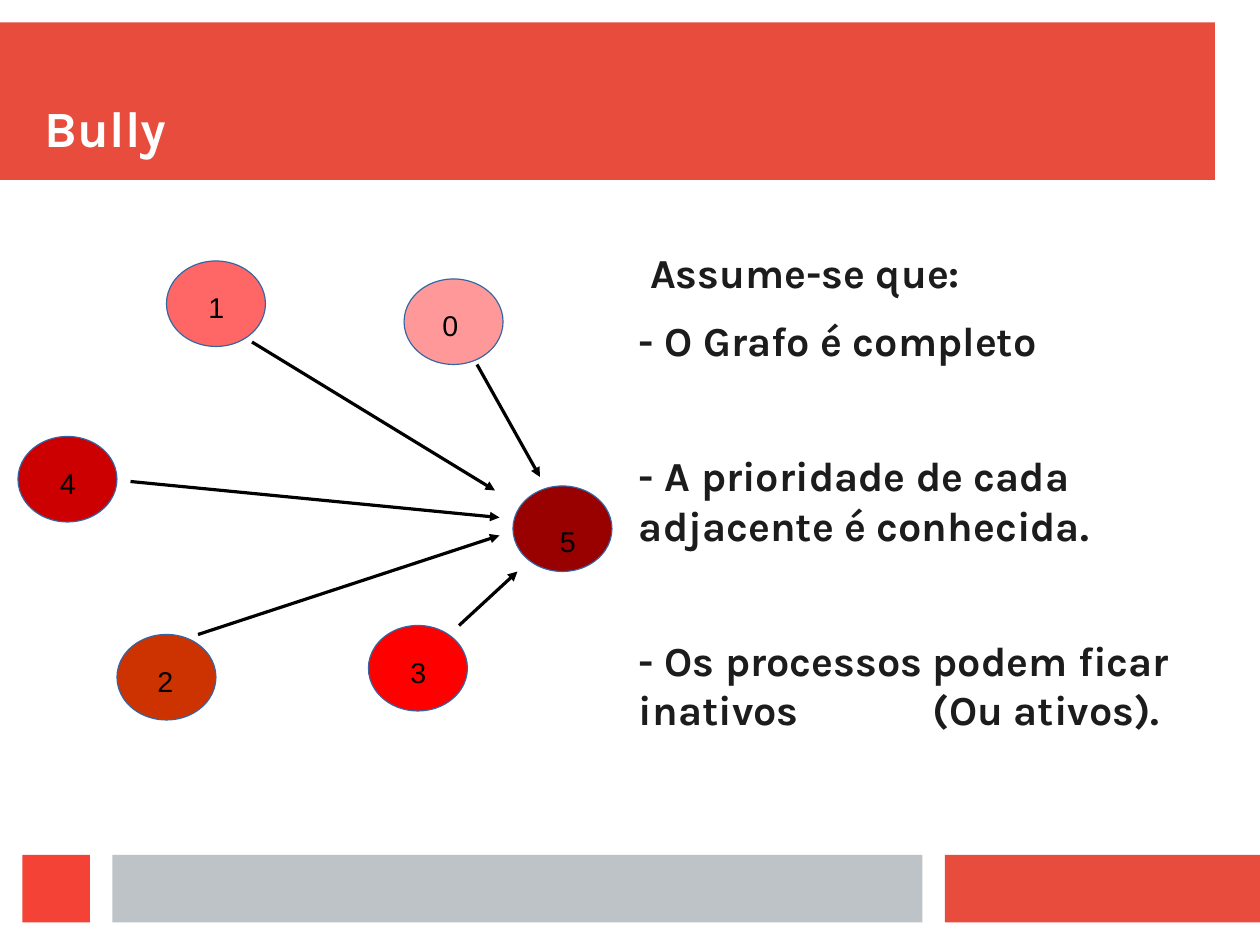
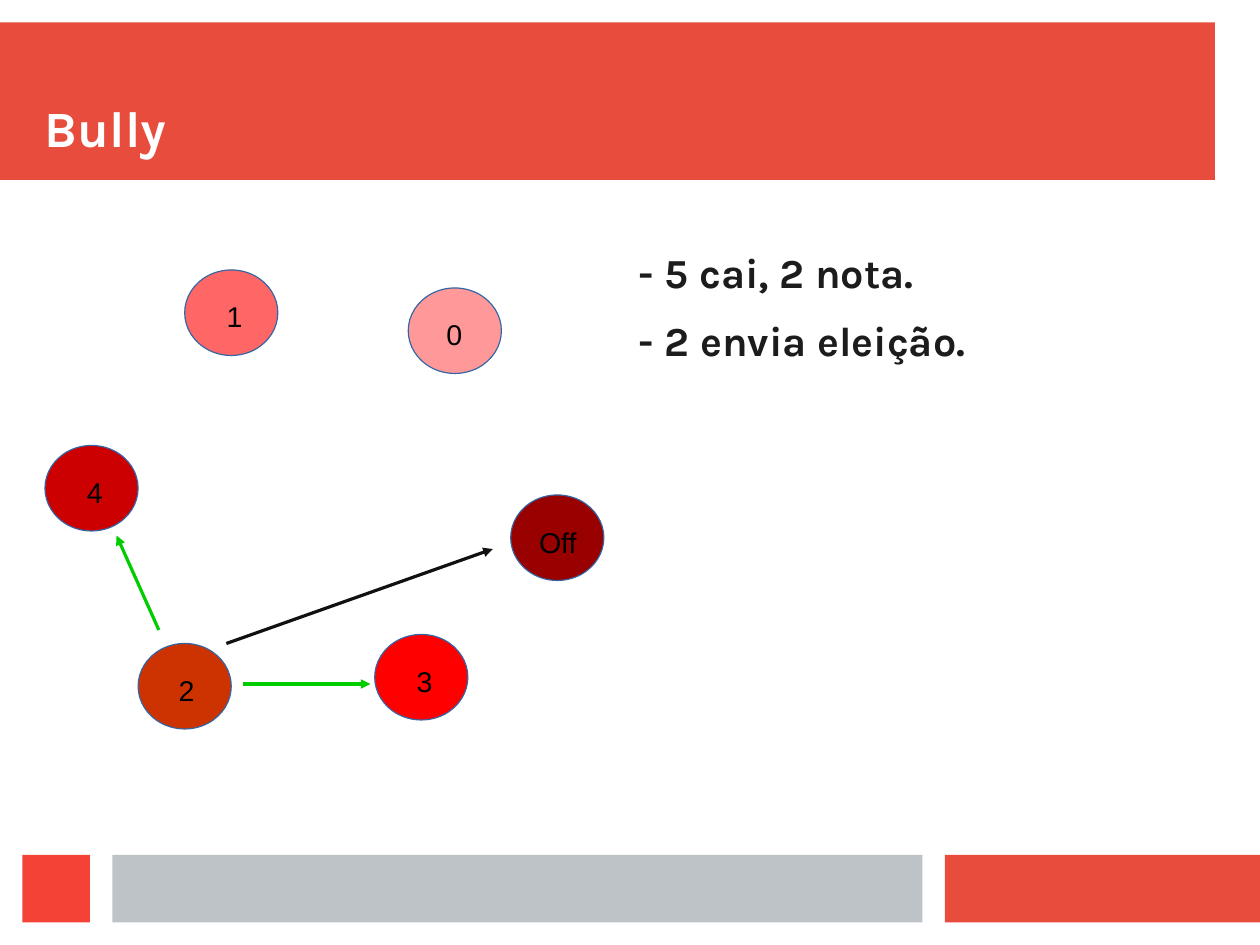
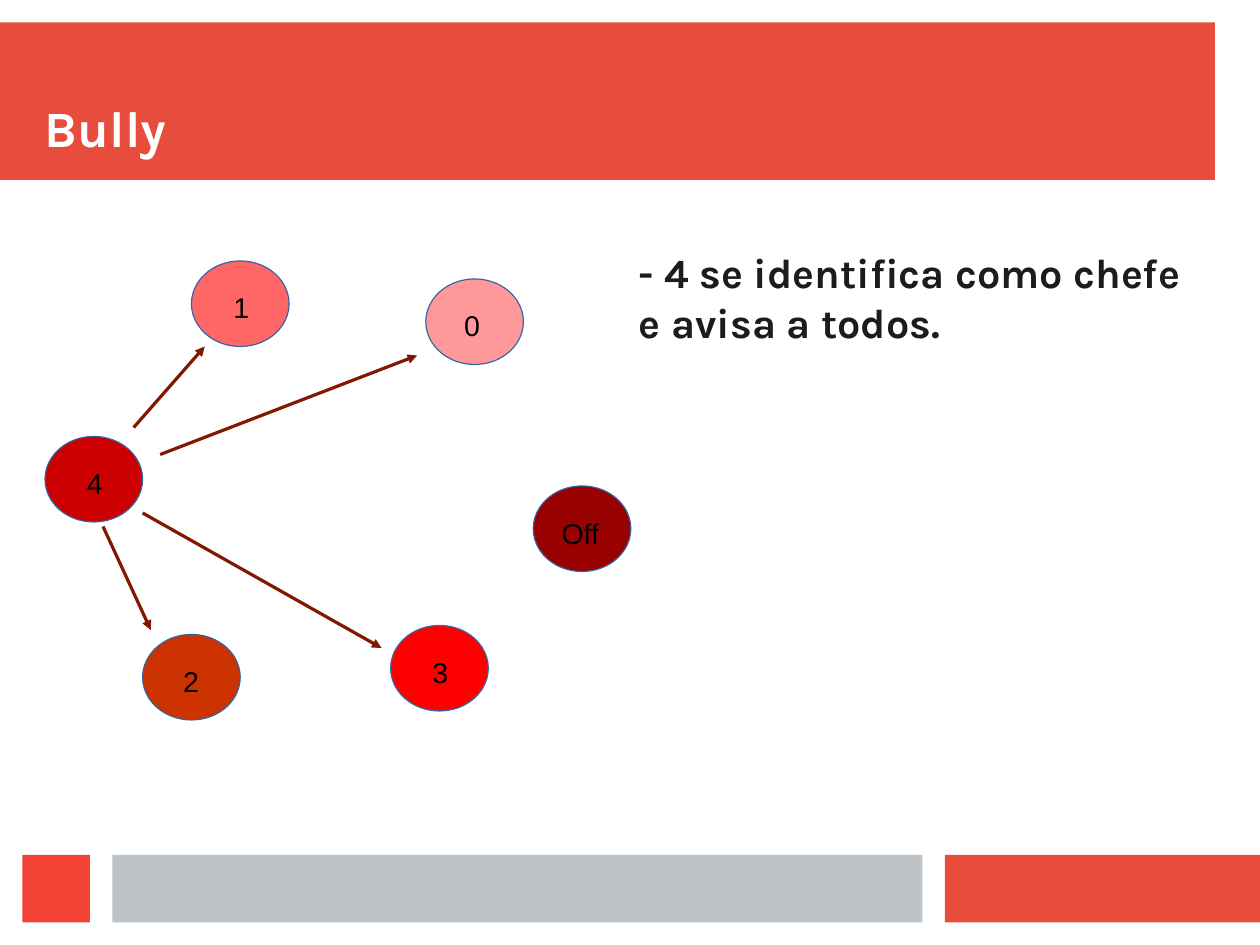
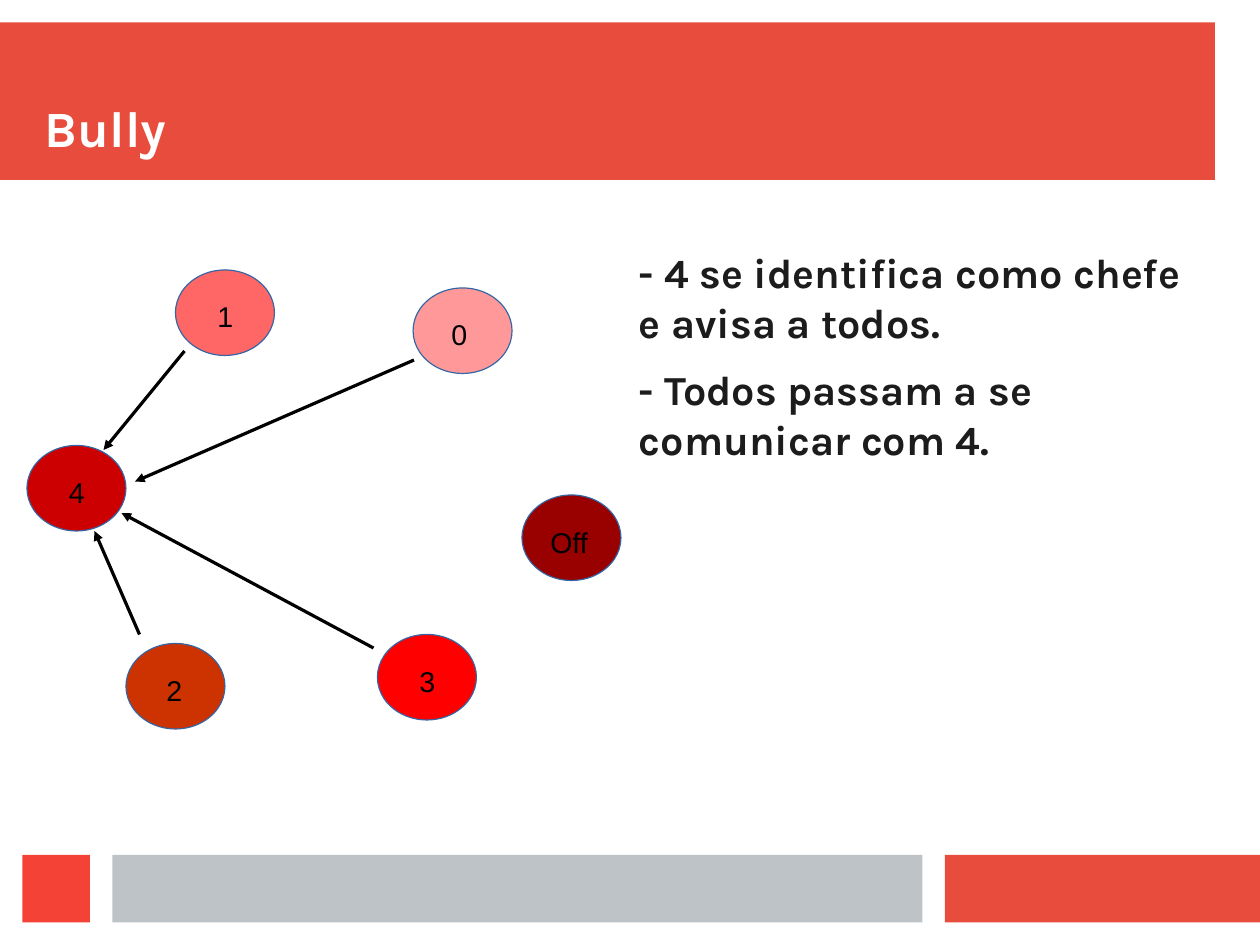
"""Builds four slides that explain the Bully election algorithm."""
from dataclasses import dataclass

from lxml import etree
from pptx import Presentation
from pptx import util as u
from pptx.dml.color import RGBColor
from pptx.enum import shapes, text
from pptx.oxml.ns import qn

WIDTH, HEIGHT = u.Mm(280), u.Mm(210)
COLUMN, ROW = WIDTH / 280, HEIGHT / 210

CORAL = RGBColor(0xE7, 0x4C, 0x3C)
RED = RGBColor(0xF4, 0x43, 0x36)
SILVER = RGBColor(0xBD, 0xC3, 0xC7)
WHITE = RGBColor(0xFF, 0xFF, 0xFF)
INK = RGBColor(0x1C, 0x1C, 0x1C)
BLACK = RGBColor(0x00, 0x00, 0x00)
CHARCOAL = RGBColor(0x11, 0x11, 0x11)
GREEN = RGBColor(0x00, 0xCC, 0x00)
BROWN = RGBColor(0x80, 0x19, 0x00)
OUTLINE = RGBColor(0x34, 0x65, 0xA4)

BANDS = [
    (0, 5, 270, 35, CORAL),
    (210, 190, 70, 15, CORAL),
    (25, 190, 180, 15, SILVER),
    (5, 190, 15, 15, RED),
]
NODE_HEIGHT = 19
PARAGRAPH_GAP = 11.4
WIDE_GAP = 54


@dataclass
class Node:
    """A process: steps across in node widths, rows down from the top node."""
    name: str
    step: float
    row: float
    color: RGBColor


@dataclass
class Line:
    """A body paragraph with its gap below, indent and tab stop."""
    words: str
    gap: float = PARAGRAPH_GAP
    indent: float = 0
    tab: float = 0


NODES = [
    Node("4", 0, 39, RGBColor(0xCC, 0x00, 0x00)),
    Node("2", 1, 83, RGBColor(0xCC, 0x33, 0x00)),
    Node("3", 3.54, 81, RGBColor(0xFF, 0x00, 0x00)),
    Node("5", 5, 50, RGBColor(0x99, 0x00, 0x00)),
    Node("0", 3.9, 4, RGBColor(0xFF, 0x99, 0x99)),
    Node("1", 1.5, 0, RGBColor(0xFF, 0x66, 0x66)),
]
LABEL_BOXES = {
    "0": (6, 5.1, 12, 12.7),
    "1": (6.8, 5.1, 8.5, 13.7),
    "2": (6.5, 5.3, 8.5, 9.7),
    "3": (6.8, 5.3, 8.5, 9.7),
    "4": (6.8, 5.3, 12.3, 14.7),
    "5": (7.9, 7.1, 8.6, 11.7),
    "Off": (3.8, 5.3, 14.8, 16.8),
}


def place(left, top, width, height):
    """Turn grid columns and rows into slide lengths."""
    return (u.Emu(round(left * COLUMN)), u.Emu(round(top * ROW)),
            u.Emu(round(width * COLUMN)), u.Emu(round(height * ROW)))


def add_filled(container, kind, box, color):
    """Add a plain filled shape without outline."""
    shape = container.add_shape(kind, *place(*box))
    shape.shadow.inherit = False
    shape.fill.solid()
    shape.fill.fore_color.rgb = color
    shape.line.fill.background()
    return shape


def add_frame(container, box, inset=True):
    """Add a wrapping text box and return its text frame."""
    frame = container.add_textbox(*place(*box)).text_frame
    frame.word_wrap = True
    if not inset:
        frame.margin_left = frame.margin_right = 0
        frame.margin_top = frame.margin_bottom = 0
    return frame


def style(paragraph, name, size, color, bold=False):
    """Set the font of a whole paragraph."""
    font = paragraph.font
    font.name, font.size, font.bold = name, u.Pt(size), bold
    font.color.rgb = color


def add_base(presentation, title):
    """Add a slide with the shared bands and title."""
    slide = presentation.slides.add_slide(presentation.slide_layouts[6])
    for *box, color in BANDS:
        add_filled(slide.shapes, shapes.MSO_SHAPE.RECTANGLE, box, color)
    frame = add_frame(slide.shapes, (10, 10, 260, 25), inset=False)
    frame.vertical_anchor = text.MSO_ANCHOR.BOTTOM
    paragraph = frame.paragraphs[0]
    paragraph.text = title
    style(paragraph, "Karla", 32, WHITE, bold=True)
    return slide


def add_body(slide, lines):
    """Add the explanation at the right of the graph."""
    frame = add_frame(slide.shapes, (142, 55, 123, 130), inset=False)
    for index, line in enumerate(lines):
        paragraph = frame.add_paragraph() if index else frame.paragraphs[0]
        paragraph.text = line.words
        paragraph.space_after = u.Pt(line.gap)
        properties = paragraph._p.get_or_add_pPr()
        if line.indent:
            properties.set("marL", str(round(line.indent * COLUMN)))
        if line.tab:
            stops = etree.SubElement(properties, qn("a:tabLst"))
            etree.SubElement(stops, qn("a:tab"), algn="l",
                             pos=str(round(line.tab * COLUMN)))
        style(paragraph, "Karla", 26, INK, bold=True)


def add_arrow(container, start_x, start_y, end_x, end_y, color):
    """Add a hairline arrow between two grid points."""
    ends = place(start_x, start_y, end_x, end_y)
    arrow = container.add_connector(shapes.MSO_CONNECTOR.STRAIGHT, *ends)
    arrow.line.width = 0
    arrow.line.color.rgb = color
    etree.SubElement(arrow.line._get_or_add_ln(), qn("a:tailEnd"), type="triangle")
    etree.SubElement(arrow._element.spPr, qn("a:effectLst"))


def add_graph(slide, left, top, node_width, arrows, leader_off=True):
    """Add the group of processes, messages and labels."""
    group = slide.shapes.add_group_shape().shapes
    corners = {}
    for node in NODES:
        corner = left + node.step * node_width, top + node.row
        ellipse = add_filled(group, shapes.MSO_SHAPE.OVAL,
                             (*corner, node_width, NODE_HEIGHT), node.color)
        ellipse.line.color.rgb = OUTLINE
        ellipse.line.width = 0
        name = "Off" if leader_off and node.name == "5" else node.name
        corners[name] = corner
    for arrow in arrows:
        add_arrow(group, *arrow)
    for name, (x, y) in corners.items():
        right, down, width, height = LABEL_BOXES[name]
        frame = add_frame(group, (x + right, y + down, width, height))
        paragraph = frame.paragraphs[0]
        paragraph.text = name
        style(paragraph, "Arial", 18, BLACK)


def main():
    """Build and save the presentation."""
    presentation = Presentation()
    presentation.slide_width, presentation.slide_height = WIDTH, HEIGHT
    chief = Line("- 4 se identifica como chefe e avisa a todos.")

    slide = add_base(presentation, "Bully")
    add_body(slide, [
        Line("Assume-se que:", indent=2.5),
        Line("- O Grafo é completo", WIDE_GAP),
        Line("- A prioridade de cada adjacente é conhecida.", WIDE_GAP),
        Line("- Os processos podem ficar inativos\t(Ou ativos).", tab=65.3),
    ])
    add_graph(slide, 4, 58, 22, [
        (102, 139, 115, 127, BLACK),
        (44, 141, 111, 119, BLACK),
        (29, 107, 111, 115, BLACK),
        (56, 76, 110, 109, BLACK),
        (106, 81, 120, 106, BLACK),
    ], leader_off=False)

    slide = add_base(presentation, "Bully")
    add_body(slide, [Line("- 5 cai, 2 nota."), Line("- 2 envia eleição.")])
    add_graph(slide, 10, 60, 20.7, [
        (50.3, 143, 109.5, 122, CHARCOAL),
        (54.1, 152, 82.3, 152, GREEN),
        (35.3, 140, 25.9, 119, GREEN),
    ])

    slide = add_base(presentation, "Bully")
    add_body(slide, [chief])
    add_graph(slide, 10, 58, 21.7, [
        (31.7, 114, 84.8, 144, BROWN),
        (35.6, 101, 92.7, 79, BROWN),
        (29.7, 95, 45.5, 77, BROWN),
        (22.9, 117, 33.5, 140, BROWN),
    ])

    slide = add_base(presentation, "Bully")
    add_body(slide, [chief, Line("- Todos passam a se comunicar com 4.")])
    add_graph(slide, 6, 60, 22, [
        (83, 144, 27, 114, BLACK),
        (92, 80, 30, 107, BLACK),
        (41, 78, 23, 100, BLACK),
        (31, 141, 21, 118, BLACK),
    ])

    presentation.save("out.pptx")


if __name__ == "__main__":
    main()
